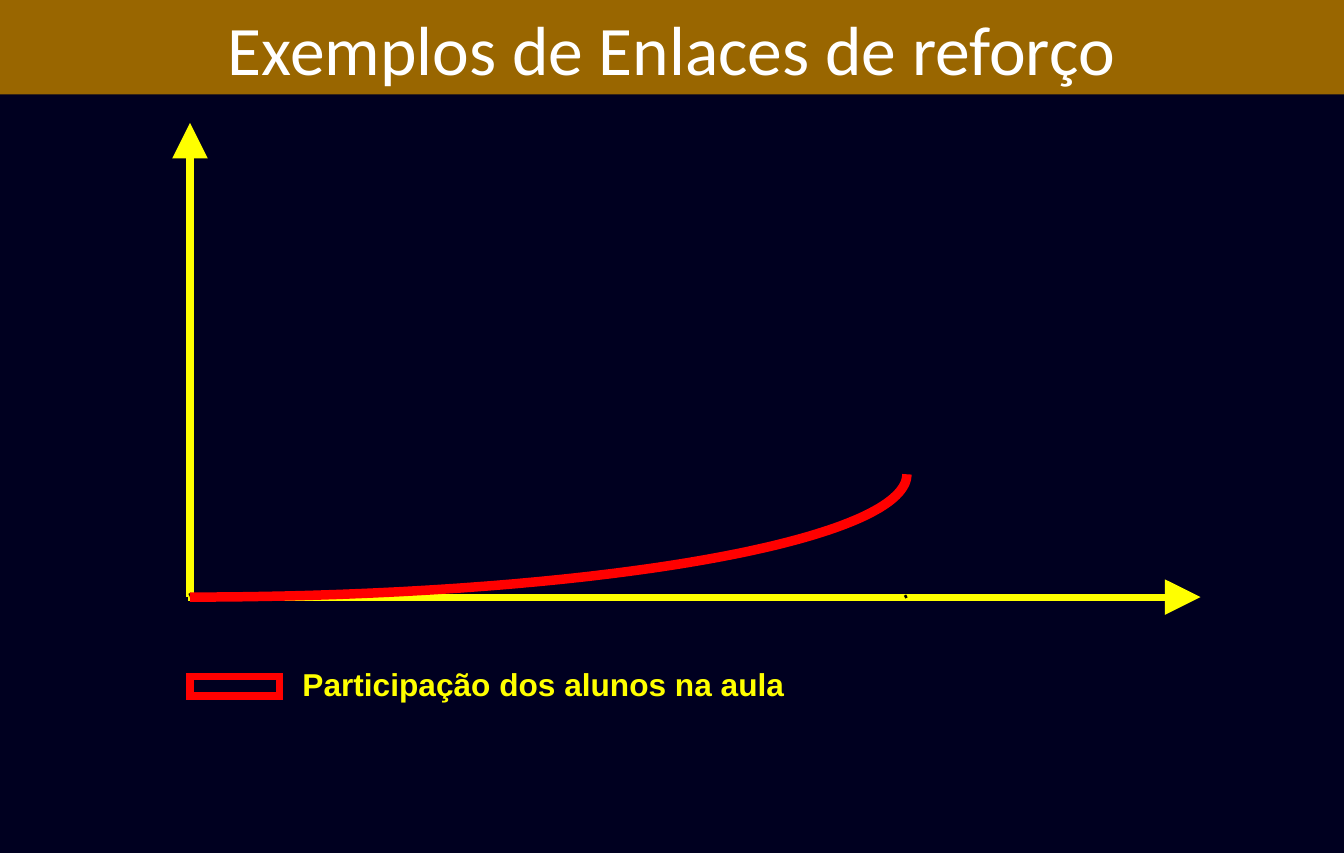
from math import cos, pi, sin

from lxml.etree import SubElement
from pptx import Presentation
from pptx.dml.color import RGBColor
from pptx.enum.shapes import MSO_CONNECTOR, MSO_SHAPE
from pptx.enum.text import MSO_ANCHOR, PP_ALIGN
from pptx.oxml.ns import qn
from pptx.util import Cm, Inches, Pt

COLORS = {
    "background": "000020",
    "banner": "996600",
    "title": "FFFFFF",
    "axis": "FFFF00",
    "growth": "FF0000",
    "mark": "000000",
}
# The slide is exactly 30 cm wide
SLIDE_WIDTH, SLIDE_HEIGHT = Cm(30).inches, 7.5


def rgb(name):
    return RGBColor.from_string(COLORS[name])


def set_line(shape, color, width):
    shape.line.color.rgb = rgb(color)
    shape.line.width = Pt(width)


def set_font(paragraph, name, size, color, bold=False):
    font = paragraph.font
    font.name, font.size, font.bold = name, Pt(size), bold
    font.color.rgb = rgb(color)


def add_line(slide, start, end, color, width, arrow=False):
    line = slide.shapes.add_connector(
        MSO_CONNECTOR.STRAIGHT, *(Inches(v) for v in (*start, *end)))
    set_line(line, color, width)
    if arrow:
        SubElement(line.get_or_add_ln(), qn("a:tailEnd"),
                   type="triangle", w="lg", len="lg")
    SubElement(line._element.spPr, qn("a:effectLst"))


def add_banner(slide, left, top, width, height):
    title = slide.shapes.title
    title.left, title.top = Inches(left), Inches(top)
    title.width, title.height = Inches(width), Inches(height)
    title.fill.solid()
    title.fill.fore_color.rgb = rgb("banner")
    frame = title.text_frame
    frame.vertical_anchor = MSO_ANCHOR.TOP
    frame.margin_left = frame.margin_right = Inches(0.09)
    frame.margin_top = frame.margin_bottom = Inches(0.05)
    frame.text = "Exemplos de Enlaces de reforço"
    heading = frame.paragraphs[0]
    heading.alignment = PP_ALIGN.CENTER
    set_font(heading, "Calibri", 44, "title")


def add_growth_graph(slide, left, top, width, height):
    base = top + height
    curve_width, curve_height = 6.3, 1.08

    # Axes
    add_line(slide, (left, base), (left, top), "axis", 4.5, arrow=True)
    add_line(slide, (left - 0.02, base), (left + width, base),
             "axis", 4.5, arrow=True)

    # Small marks where the curve starts and ends
    for offset, weight in ((0, 4.5), (curve_width - 0.02, 2)):
        x = left + offset
        add_line(slide, (x, base), (x + 0.02, base - 0.01), "mark", weight)

    # Curve: a quarter of an ellipse, rising from the origin
    steps = 90
    angles = [pi / 2 * step / steps for step in range(steps + 1)]
    points = [(Inches(left + curve_width * sin(a)),
               Inches(base - curve_height * (1 - cos(a)))) for a in angles]
    builder = slide.shapes.build_freeform(*points[0])
    builder.add_line_segments(points[1:], close=False)
    curve = builder.convert_to_shape()
    curve.shadow.inherit = False
    curve.fill.background()
    set_line(curve, "growth", 6)


def add_legend(slide, left, top, width, height):
    # Key with square corners
    key = slide.shapes.add_shape(
        MSO_SHAPE.RECTANGLE, Inches(left), Inches(top + 0.15),
        Inches(0.79), Inches(0.17))
    key.shadow.inherit = False
    key.fill.background()
    set_line(key, "growth", 4.5)
    SubElement(key.get_or_add_ln(), qn("a:miter"), lim="800000")

    # Label
    label_offset = 0.89
    label = slide.shapes.add_textbox(
        Inches(left + label_offset), Inches(top),
        Inches(width - label_offset), Inches(height))
    label.text_frame.word_wrap = True
    label.text_frame.text = "Participação dos alunos na aula"
    set_font(label.text_frame.paragraphs[0], "Arial", 20, "axis", bold=True)


def main():
    deck = Presentation()
    deck.slide_width = Inches(SLIDE_WIDTH)
    deck.slide_height = Inches(SLIDE_HEIGHT)
    slide = deck.slides.add_slide(deck.slide_layouts[5])
    slide.background.fill.solid()
    slide.background.fill.fore_color.rgb = rgb("background")

    add_banner(slide, 0, 0, SLIDE_WIDTH, 0.83)
    add_growth_graph(slide, 1.67, 1.08, 8.88, 4.17)
    add_legend(slide, 1.67, 5.8, 5.42, 0.44)
    deck.save("out.pptx")


if __name__ == "__main__":
    main()
